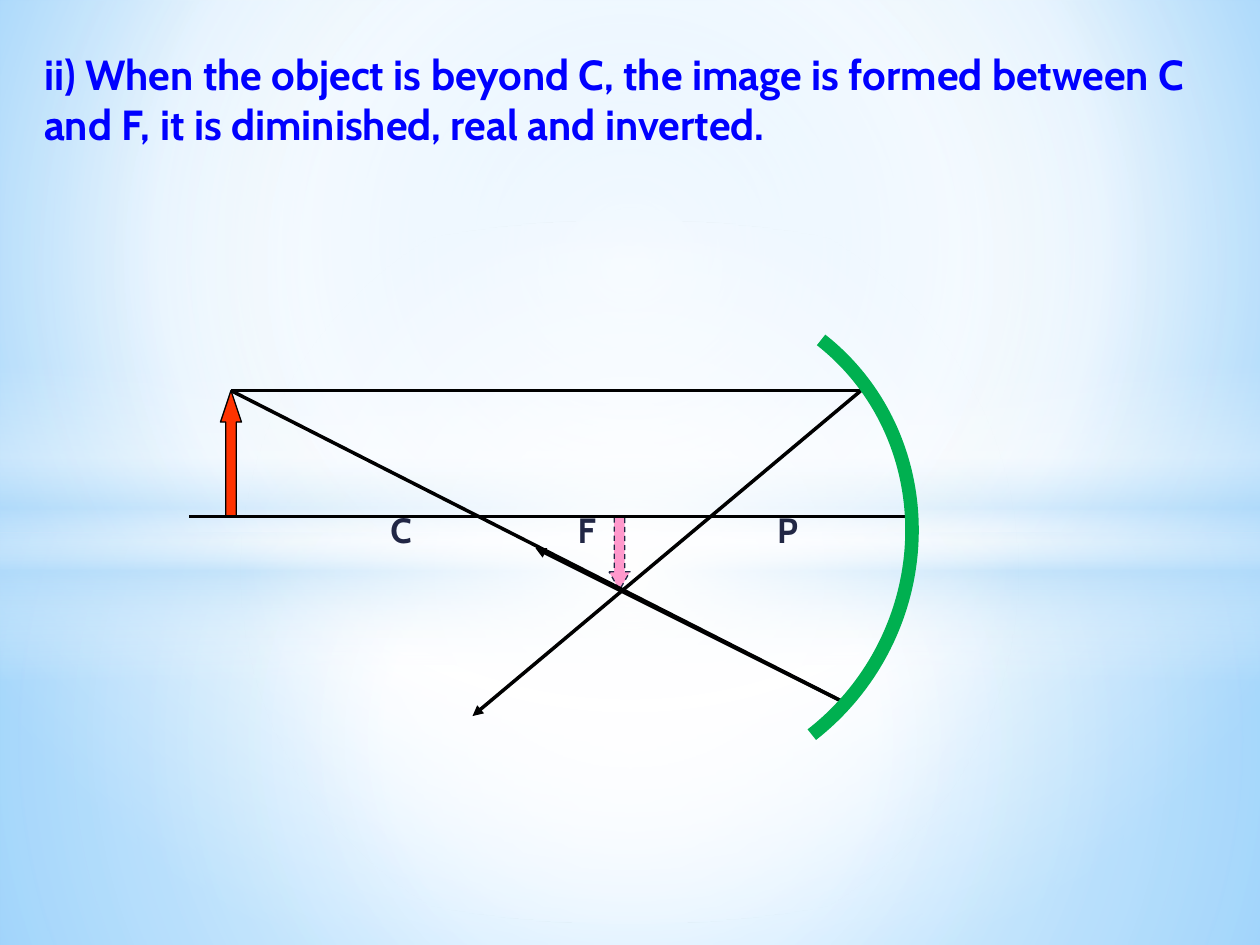
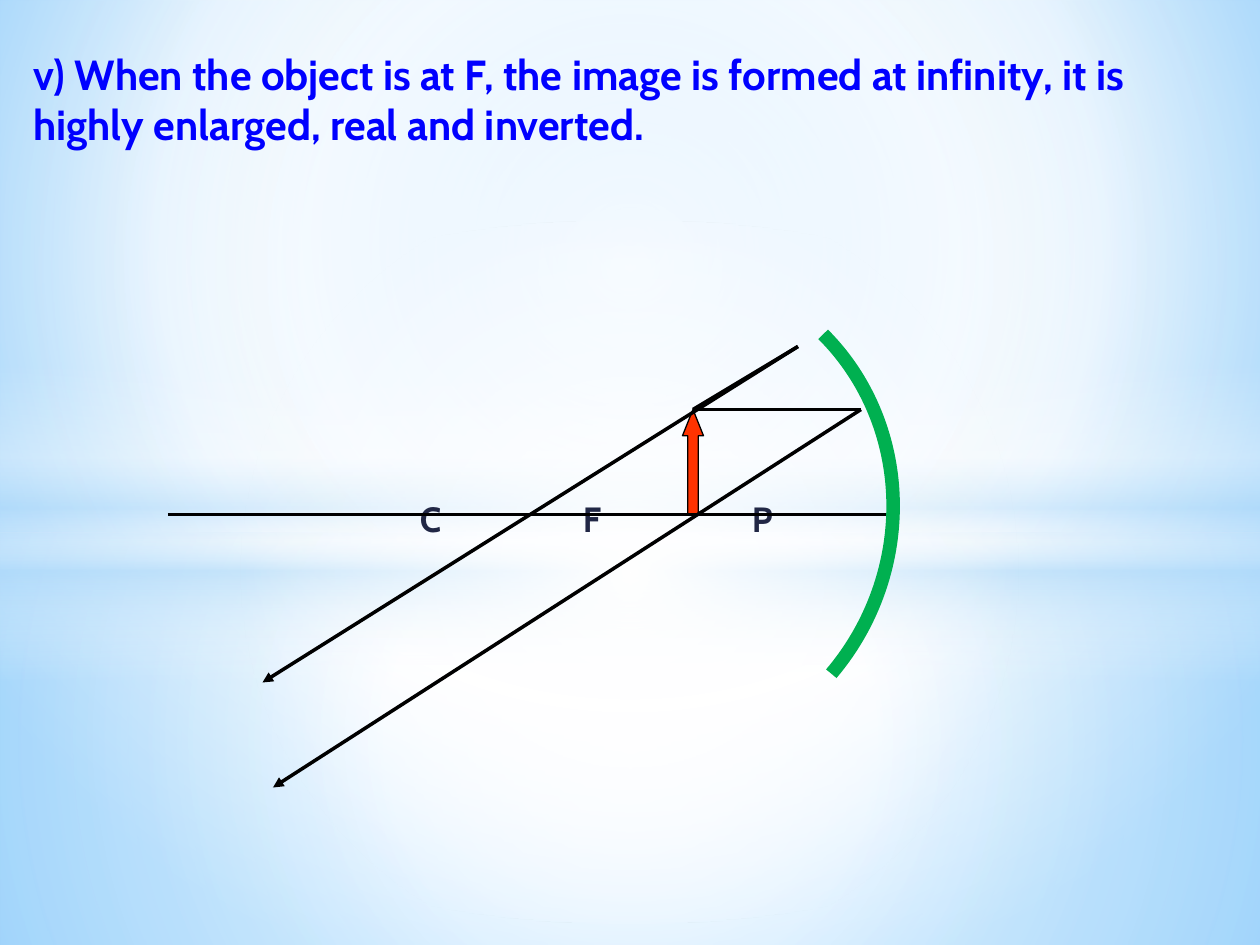
from dataclasses import dataclass
from typing import NamedTuple

from lxml import etree
from pptx import Presentation
from pptx import util as u
from pptx.dml.color import RGBColor
from pptx.enum import dml, shapes, text
from pptx.oxml import parse_xml
from pptx.oxml.ns import nsdecls, qn

COLORS = {
    "statement": "0000FF", "label": "212745", "ray": "000000",
    "object": "FF3300", "image": "FF99CC", "mirror": "00B050",
    "white": "FFFFFF", "haze": "B4DCFA", "sky": "9ED5FF", "deep sky": "5BB9FF",
}
FONT = "Cabin"
CELL = u.Inches(1) / 12  # the slide is a grid of 120 columns by 90 rows
COLUMNS, ROWS = 120, 90
MIRROR_SIZE = (46, 47.9)
MIRROR_TURN = 31.3
ARROW_WIDTH = 2


class Stop(NamedTuple):
    position: int
    color: str
    alpha: int = 100


class Band(NamedTuple):
    """A backdrop shape; top and height are shares of the slide height."""
    outline: shapes.MSO_SHAPE
    top: float
    height: float
    stops: list[Stop]
    direction: str


class Ray(NamedTuple):
    """Columns across the slide, rows below the principal axis."""
    start: tuple[float, float]
    end: tuple[float, float]
    arrow: bool = False


class Mirror(NamedTuple):
    column: float
    row: float
    start_angle: float
    end_angle: float


class UprightArrow(NamedTuple):
    column: float
    length: float
    points_up: bool = True


@dataclass
class RayDiagram:
    statement: str
    margin: float
    axis_row: float
    label_row: float
    labels: dict[str, float]
    arrows: list[UprightArrow]
    rays: list[Ray]
    mirror: Mirror


def circular(left: int, top: int, right: int, bottom: int) -> str:
    return (f'<a:path path="circle"><a:fillToRect l="{left}000" t="{top}000" '
            f'r="{right}000" b="{bottom}000"/></a:path>')


CENTRED = circular(50, 50, 50, 50)
DOWNWARD = '<a:lin ang="5400000" scaled="0"/>'
RECTANGLE, OVAL = shapes.MSO_SHAPE.RECTANGLE, shapes.MSO_SHAPE.OVAL

SKY = [Stop(0, "sky"), Stop(60, "white"), Stop(100, "deep sky")]
BANDS = [
    Band(RECTANGLE, 0.564, 0.436,
         [Stop(0, "white", 91), Stop(37, "white", 76), Stop(100, "haze", 79)], CENTRED),
    Band(RECTANGLE, 0, 0.564,
         [Stop(0, "white", 89), Stop(48, "white", 62), Stop(100, "haze", 79)], CENTRED),
    Band(RECTANGLE, 0.387, 0.333,
         [Stop(0, "white", 0), Stop(29, "white", 30), Stop(45, "haze", 40),
          Stop(55, "white", 26), Stop(65, "haze", 60), Stop(100, "white", 0)], DOWNWARD),
    Band(OVAL, 0.233, 0.744, [Stop(0, "white"), Stop(54, "white", 0)], CENTRED),
]

DIAGRAMS = [
    RayDiagram(
        statement="ii) When the object is beyond C, the image is formed between C "
                  "and F, it is diminished, real and inverted.",
        margin=3, axis_row=49.2, label_row=1.2,
        labels={"C": 38.2, "F": 55.9, "P": 75},
        arrows=[UprightArrow(22, 12), UprightArrow(59, 7, points_up=False)],
        rays=[
            Ray((18, 0), (87, 0)),
            Ray((22, -12), (82, -12)),
            Ray((82, -12), (45, 19), arrow=True),
            Ray((22, -12), (81, 18)),
            Ray((81, 18), (51, 3), arrow=True),
        ],
        mirror=Mirror(40.6, -21.8, 276.28, 22.34),
    ),
    RayDiagram(
        statement="v) When the object is at F, the image is formed at infinity, it is "
                  "highly enlarged, real and inverted.",
        margin=2, axis_row=49, label_row=0.4,
        labels={"C": 41, "F": 56.4, "P": 72.6},
        arrows=[UprightArrow(66, 10)],
        rays=[
            Ray((16, 0), (85, 0)),
            Ray((66, -10), (82, -10)),
            Ray((82, -10), (26, 26), arrow=True),
            Ray((76, -16), (25, 16), arrow=True),
            Ray((66, -10), (76, -16)),
        ],
        mirror=Mirror(38.8, -23.9, 282.66, 9.73),
    ),
]


def cells(*counts: float) -> list[u.Emu]:
    return [u.Emu(round(count * CELL)) for count in counts]


def color(name: str) -> RGBColor:
    return RGBColor.from_string(COLORS[name])


def set_gradient(fill, container, stops: list[Stop], direction: str) -> None:
    """Swap the solid fill inside container for a gradient with transparent stops."""
    fill.solid()
    stop_xml = "".join(
        f'<a:gs pos="{stop.position}000"><a:srgbClr val="{COLORS[stop.color]}">'
        f'<a:alpha val="{stop.alpha}000"/></a:srgbClr></a:gs>' for stop in stops)
    gradient = parse_xml(f'<a:gradFill {nsdecls("a")} rotWithShape="1">'
                         f'<a:gsLst>{stop_xml}</a:gsLst>{direction}</a:gradFill>')
    solid = container.find(qn("a:solidFill"))
    container.replace(solid, gradient)


def build_backdrop(master, drawing_slide) -> None:
    """Draw the bands on a slide, then move them to the master."""
    sky_fill = master.background.fill
    sky_fill.solid()
    sky_holder = master.element.cSld.find(qn("p:bg")).find(qn("p:bgPr"))
    set_gradient(sky_fill, sky_holder, SKY, circular(20, 10, 20, 60))
    tree = master.element.cSld.spTree
    for order, band in enumerate(BANDS):
        shape = drawing_slide.shapes.add_shape(
            band.outline, *cells(0, band.top * ROWS, COLUMNS, band.height * ROWS))
        shape.shadow.inherit = False
        shape.line.fill.background()
        set_gradient(shape.fill, shape.element.spPr, band.stops, band.direction)
        shape.element.nvSpPr.cNvPr.id = 20 + order
        tree.insert(2 + order, shape.element)


def style_text(frame, name: str, size: int, alignment, anchor) -> None:
    frame.word_wrap = True
    frame.auto_size = text.MSO_AUTO_SIZE.NONE
    frame.vertical_anchor = anchor
    paragraph = frame.paragraphs[0]
    paragraph.alignment = alignment
    font = paragraph.font
    font.name, font.size, font.bold = FONT, u.Pt(size), True
    font.color.rgb = color(name)


def write_statement(slide, diagram: RayDiagram) -> None:
    title = slide.shapes.title
    title.left, title.top, title.width, title.height = cells(
        diagram.margin, 4, COLUMNS - 2 * diagram.margin, 12)
    title.text_frame.text = diagram.statement
    style_text(title.text_frame, "statement", 24, text.PP_ALIGN.LEFT, text.MSO_ANCHOR.TOP)


def write_labels(slide, diagram: RayDiagram) -> None:
    width, height = 6, 5
    for letter, column in diagram.labels.items():
        row = diagram.axis_row + diagram.label_row
        box = slide.shapes.add_textbox(
            *cells(column - width / 2, row - height / 2, width, height))
        box.text_frame.text = letter
        style_text(box.text_frame, "label", 20, text.PP_ALIGN.CENTER, text.MSO_ANCHOR.MIDDLE)


def draw_ray(slide, ray: Ray, axis_row: float) -> None:
    (start_column, start_row), (end_column, end_row) = ray.start, ray.end
    line = slide.shapes.add_connector(
        shapes.MSO_CONNECTOR.STRAIGHT,
        *cells(start_column, axis_row + start_row, end_column, axis_row + end_row))
    line.line.color.rgb = color("ray")
    line.line.width = u.Pt(2)
    if ray.arrow:
        etree.SubElement(line.line._get_or_add_ln(), qn("a:tailEnd"), type="triangle")
    etree.SubElement(line.element.spPr, qn("a:effectLst"))


def draw_upright_arrow(slide, arrow: UprightArrow, axis_row: float) -> None:
    if arrow.points_up:
        outline, top, name, edge = shapes.MSO_SHAPE.UP_ARROW, -arrow.length, "object", "ray"
    else:
        outline, top, name, edge = shapes.MSO_SHAPE.DOWN_ARROW, 0, "image", "label"
    shape = slide.shapes.add_shape(outline, *cells(
        arrow.column - ARROW_WIDTH / 2, axis_row + top, ARROW_WIDTH, arrow.length))
    shape.shadow.inherit = False
    shape.adjustments[0] = 0.5
    shape.adjustments[1] = arrow.length / 4 / ARROW_WIDTH  # head is a quarter of the arrow
    shape.fill.solid()
    shape.fill.fore_color.rgb = color(name)
    shape.line.color.rgb = color(edge)
    shape.line.width = u.Pt(0.75)
    if not arrow.points_up:
        shape.line.dash_style = dml.MSO_LINE.DASH


def draw_mirror(slide, mirror: Mirror, axis_row: float) -> None:
    arc = slide.shapes.add_shape(
        shapes.MSO_SHAPE.ARC, *cells(mirror.column, axis_row + mirror.row, *MIRROR_SIZE))
    arc.shadow.inherit = False
    arc.rotation = MIRROR_TURN
    for index, degrees in enumerate((mirror.start_angle, mirror.end_angle)):
        arc.adjustments[index] = degrees * 0.6  # 60000 units a degree, scaled by 100000
    arc.fill.background()
    arc.line.color.rgb = color("mirror")
    arc.line.width = u.Pt(7.75)


def draw_diagram(slide, diagram: RayDiagram) -> None:
    write_statement(slide, diagram)
    write_labels(slide, diagram)
    for arrow in diagram.arrows:
        draw_upright_arrow(slide, arrow, diagram.axis_row)
    for ray in diagram.rays:
        draw_ray(slide, ray, diagram.axis_row)
    draw_mirror(slide, diagram.mirror, diagram.axis_row)


def main() -> None:
    deck = Presentation()
    deck.slide_width, deck.slide_height = cells(COLUMNS, ROWS)
    title_only = deck.slide_layouts[5]
    slides = [deck.slides.add_slide(title_only) for _ in DIAGRAMS]
    build_backdrop(deck.slide_master, slides[0])
    for slide, diagram in zip(slides, DIAGRAMS):
        draw_diagram(slide, diagram)
    deck.save("out.pptx")


if __name__ == "__main__":
    main()
